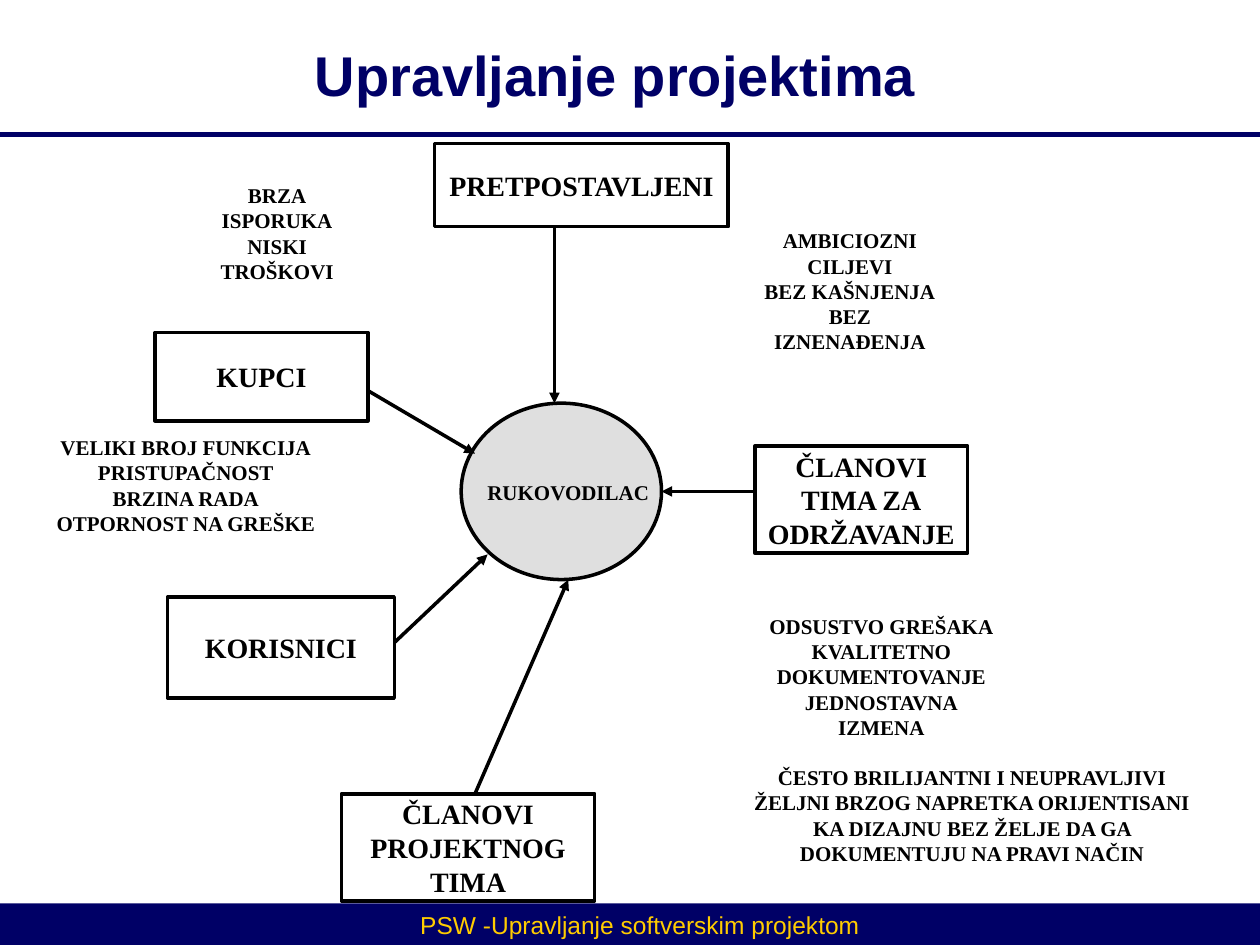
from dataclasses import dataclass

from pptx import Presentation
from pptx.dml.color import RGBColor
from pptx.enum import shapes, text
from pptx.oxml.ns import qn
from pptx.util import Inches, Pt


@dataclass(frozen=True)
class Theme:
    navy: str = "000066"
    gold: str = "FFCC00"
    ink: str = "000000"
    hub: str = "DFDFDF"
    heading_font: str = "Arial"
    diagram_font: str = "Times New Roman"
    title_size: int = 32
    role_size: int = 16
    footer_size: int = 14
    note_size: int = 12
    outline: float = 2
    rule: float = 3
    inset: float = 0.01


@dataclass(frozen=True)
class Area:
    left: float
    top: float
    width: float
    height: float

    def lengths(self) -> tuple:
        return tuple(map(Inches, (self.left, self.top, self.width, self.height)))


@dataclass(frozen=True)
class Label:
    wording: str
    area: Area


@dataclass(frozen=True)
class Influence:
    start: tuple[float, float]
    end: tuple[float, float]


THEME = Theme()

ROLES = [
    Label("PRETPOSTAVLJENI", Area(3.45, 1.14, 2.33, 0.66)),
    Label("KUPCI", Area(1.23, 2.64, 1.69, 0.7)),
    Label("KORISNICI", Area(1.33, 4.74, 1.8, 0.8)),
    Label("ČLANOVI\nPROJEKTNOG\nTIMA", Area(2.71, 6.3, 2.01, 0.85)),
    Label("ČLANOVI\nTIMA ZA\nODRŽAVANJE", Area(5.99, 3.54, 1.69, 0.85)),
]

INFLUENCES = [
    Influence((4.4, 1.8), (4.4, 3.2)),
    Influence((2.92, 3.1), (3.77, 3.6)),
    Influence((3.13, 5.1), (3.87, 4.4)),
    Influence((3.77, 6.3), (4.51, 4.6)),
    Influence((5.99, 3.9), (5.25, 3.9)),
]

NOTES = [
    Label("RUKOVODILAC", Area(3.77, 3.8, 1.48, 0.3)),
    Label("AMBICIOZNI\nCILJEVI\nBEZ KAŠNJENJA\nBEZ\nIZNENAĐENJA", Area(5.97, 1.8, 1.55, 1)),
    Label("BRZA\nISPORUKA\nNISKI\nTROŠKOVI", Area(1.67, 1.44, 1.06, 1)),
    Label("VELIKI BROJ FUNKCIJA\nPRISTUPAČNOST\nBRZINA RADA\nOTPORNOST NA GREŠKE",
          Area(0.43, 3.44, 2.09, 1)),
    Label("ODSUSTVO GREŠAKA\nKVALITETNO\nDOKUMENTOVANJE\nJEDNOSTAVNA\nIZMENA",
          Area(5.97, 4.86, 2.05, 1)),
    Label("ČESTO BRILIJANTNI I NEUPRAVLJIVI\nŽELJNI BRZOG NAPRETKA ORIJENTISANI "
          "KA DIZAJNU BEZ ŽELJE DA GA DOKUMENTUJU NA PRAVI NAČIN",
          Area(5.86, 6.06, 3.71, 0.92)),
]


def write(frame, wording: str, *, size: float, color: str = THEME.ink,
          font: str = THEME.diagram_font, bold: bool = True,
          anchor=text.MSO_ANCHOR.TOP, inset: float = THEME.inset) -> None:
    frame.text = wording
    frame.word_wrap = True
    frame.auto_size = text.MSO_AUTO_SIZE.NONE
    frame.vertical_anchor = anchor
    frame.margin_left = frame.margin_right = Inches(inset)
    frame.margin_top = frame.margin_bottom = Inches(min(inset, 0.05))
    for paragraph in frame.paragraphs:
        paragraph.alignment = text.PP_ALIGN.CENTER
        paragraph.font.size = Pt(size)
        paragraph.font.name = font
        paragraph.font.bold = bold
        paragraph.font.color.rgb = RGBColor.from_string(color)


def add_block(slide, preset, area: Area, *, fill: str | None = None,
              line: str | None = None):
    block = slide.shapes.add_shape(preset, *area.lengths())
    block.shadow.inherit = False
    if fill:
        block.fill.solid()
        block.fill.fore_color.rgb = RGBColor.from_string(fill)
    else:
        block.fill.background()
    if line:
        block.line.color.rgb = RGBColor.from_string(line)
        block.line.width = Pt(THEME.outline)
    else:
        block.line.fill.background()
    return block


def add_line(slide, start: tuple[float, float], end: tuple[float, float], *,
             color: str = THEME.ink, width: float = THEME.outline,
             arrow: bool = False) -> None:
    connector = slide.shapes.add_connector(
        shapes.MSO_CONNECTOR.STRAIGHT, *map(Inches, (*start, *end)))
    connector.line.color.rgb = RGBColor.from_string(color)
    connector.line.width = Pt(width)
    properties = connector._element.spPr
    if arrow:
        outline = properties.find(qn("a:ln"))
        head = outline.makeelement(qn("a:tailEnd"), {"type": "triangle"})
        outline.append(head)
    properties.append(properties.makeelement(qn("a:effectLst"), {}))


def add_note(slide, note: Label, **style) -> None:
    box = slide.shapes.add_textbox(*note.area.lengths())
    write(box.text_frame, note.wording, **style)


def add_role(slide, role: Label) -> None:
    block = add_block(slide, shapes.MSO_SHAPE.RECTANGLE, role.area, line=THEME.ink)
    write(block.text_frame, role.wording, size=THEME.role_size,
          anchor=text.MSO_ANCHOR.MIDDLE)


def add_frame(slide) -> None:
    add_block(slide, shapes.MSO_SHAPE.RECTANGLE, Area(0, 7.17, 10, 0.33), fill=THEME.navy)
    add_line(slide, (0, 1.07), (10, 1.07), color=THEME.navy, width=THEME.rule)
    add_note(slide, Label("PSW -Upravljanje softverskim projektom", Area(3.11, 7.17, 3.94, 0.33)),
             size=THEME.footer_size, color=THEME.gold, font=THEME.heading_font,
             bold=False, inset=0.1)
    title = slide.shapes.title
    title.left, title.top, title.width, title.height = Area(0.75, 0.17, 8.27, 0.84).lengths()
    write(title.text_frame, "Upravljanje projektima", size=THEME.title_size,
          color=THEME.navy, font=THEME.heading_font, anchor=text.MSO_ANCHOR.MIDDLE)


def main() -> None:
    presentation = Presentation()
    presentation.slide_width = Inches(10)
    presentation.slide_height = Inches(7.5)
    slide = presentation.slides.add_slide(presentation.slide_layouts[5])
    add_frame(slide)
    for role in ROLES:
        add_role(slide, role)
    add_block(slide, shapes.MSO_SHAPE.OVAL, Area(3.66, 3.2, 1.59, 1.4),
              fill=THEME.hub, line=THEME.ink)
    for influence in INFLUENCES:
        add_line(slide, influence.start, influence.end, arrow=True)
    for note in NOTES:
        add_note(slide, note, size=THEME.note_size)
    presentation.save("out.pptx")


if __name__ == "__main__":
    main()
